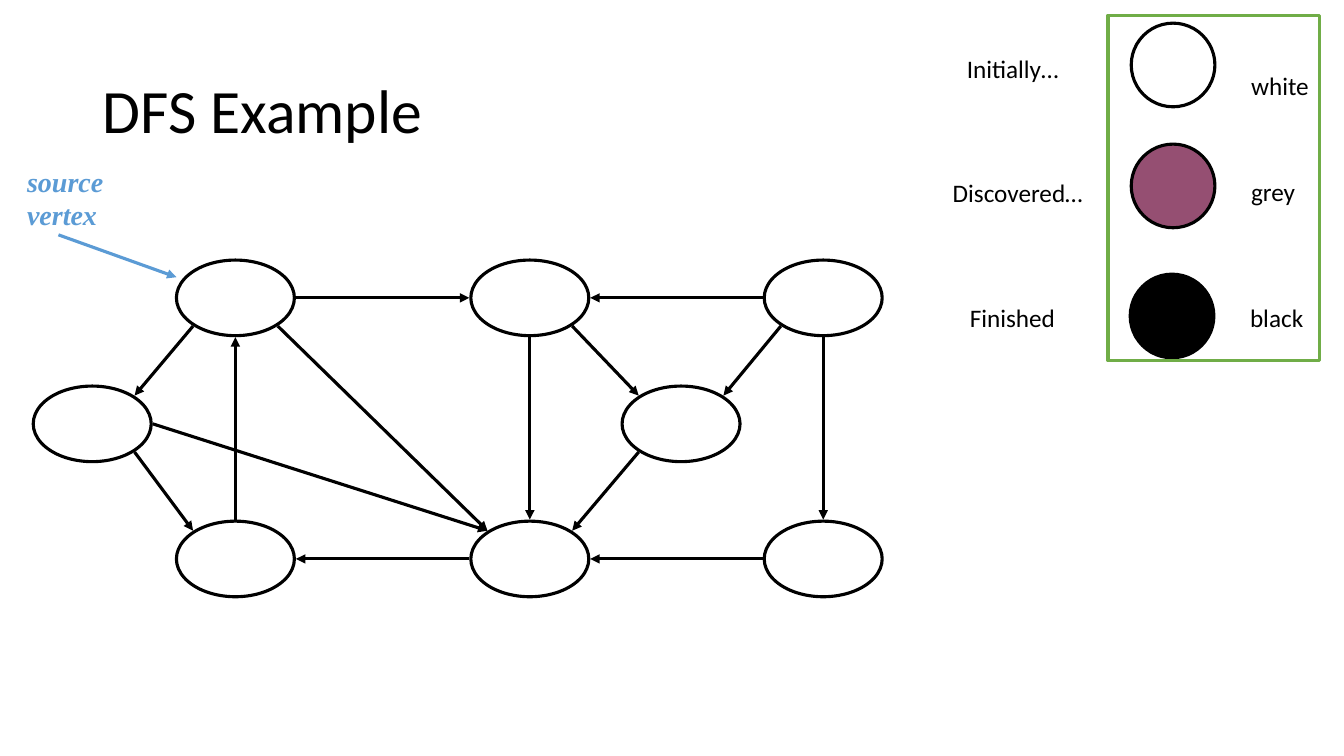
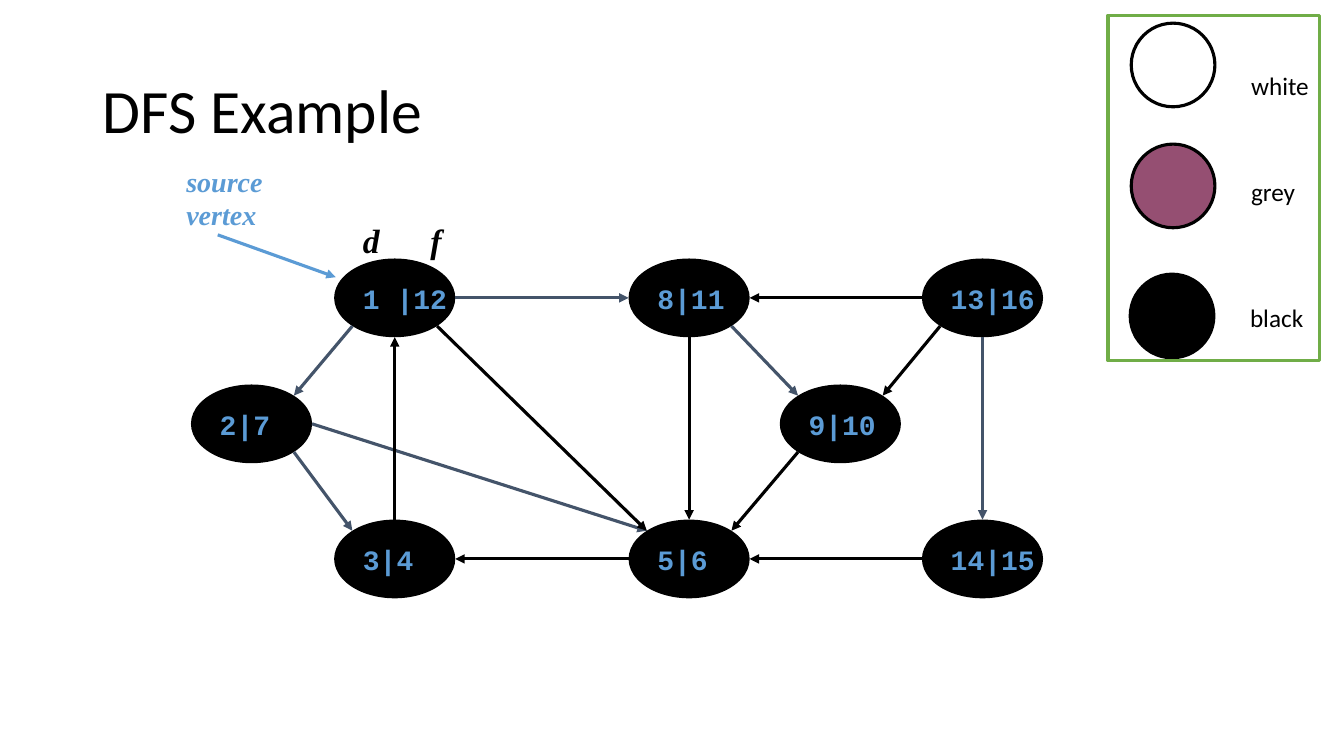
from lxml import etree
from pptx import Presentation
from pptx import util as u
from pptx.dml.color import RGBColor
from pptx.enum import shapes, text
from pptx.oxml.ns import qn

COLOURS = {
    "black": "000000",
    "discovered": "954F72",
    "tree_edge": "44546A",
    "accent": "5B9BD5",
    "frame": "70AD47",
}
LINE_WIDTH = u.Pt(2.25)

NODE_WIDTH, NODE_HEIGHT = 1.17, 0.75
ROW_TOPS = (2.58, 3.83, 5.17)
# vertex: (left relative to the source vertex, row)
VERTICES = {
    "source": (0, 0),
    "middle": (2.92, 0),
    "right": (5.83, 0),
    "low_right": (5.83, 2),
    "low_middle": (2.92, 2),
    "low_left": (0, 2),
    "outer_left": (-1.42, 1),
    "inner": (4.42, 1),
}
# side: offset from the centre of a vertex, just outside its outline
SIDES = {
    "n": (0, -0.39), "s": (0, 0.39), "w": (-0.6, 0), "e": (0.6, 0),
    "nw": (-0.42, -0.28), "ne": (0.42, -0.28),
    "sw": (-0.42, 0.28), "se": (0.42, 0.28),
}
# (from vertex, side, to vertex, side, whether it is a tree edge)
EDGES = [
    ("source", "sw", "outer_left", "ne", True),
    ("outer_left", "se", "low_left", "nw", True),
    ("outer_left", "e", "low_middle", "nw", True),
    ("low_middle", "w", "low_left", "e", False),
    ("low_left", "n", "source", "s", False),
    ("source", "se", "low_middle", "nw", False),
    ("middle", "s", "low_middle", "n", False),
    ("source", "e", "middle", "w", True),
    ("right", "w", "middle", "e", False),
    ("middle", "se", "inner", "nw", True),
    ("right", "sw", "inner", "ne", False),
    ("right", "s", "low_right", "n", True),
    ("low_right", "w", "low_middle", "e", False),
    ("inner", "sw", "low_middle", "ne", False),
]
TIMES = {
    "source": "1 |12", "middle": "8|11", "right": "13|16",
    "low_right": "14|15", "low_middle": "5|6", "low_left": "3|4",
    "outer_left": "2|7", "inner": "9|10",
}
# (circle left, circle top, fill, label left, label top, label width, label)
LEGEND = [
    (11.22, 0.23, None, 12.31, 0.65, 0.78, "white"),
    (11.22, 1.43, "discovered", 12.31, 1.7, 0.64, "grey"),
    (11.21, 2.72, "black", 12.3, 2.95, 0.73, "black"),
]
STATES = [
    (9.49, 0.48, 1.12, "Initially…"),
    (9.35, 1.71, 1.52, "Discovered…"),
    (9.52, 2.95, 1.06, "Finished"),
]


def colour(name):
    return RGBColor.from_string(COLOURS[name])


def add_run(paragraph, words, size, font="Calibri", ink="black", bold=False, italic=False):
    run = paragraph.add_run()
    run.text = words
    run.font.size = u.Pt(size)
    run.font.name = font
    run.font.bold = bold
    run.font.italic = italic
    run.font.color.rgb = colour(ink)


def add_outline(parent, preset, left, top, width, height, line="black", fill=None):
    """Add an outlined shape, hollow unless a fill is named."""
    shape = parent.add_shape(preset, *map(u.Inches, (left, top, width, height)))
    shape.shadow.inherit = False
    shape.line.color.rgb = colour(line)
    shape.line.width = LINE_WIDTH
    if fill:
        shape.fill.solid()
        shape.fill.fore_color.rgb = colour(fill)
    else:
        shape.fill.background()
    return shape


def add_label(parent, left, top, width, height, lines, size=18, **style):
    box = parent.add_textbox(*map(u.Inches, (left, top, width, height)))
    frame = box.text_frame
    frame.word_wrap = False
    frame.auto_size = text.MSO_AUTO_SIZE.SHAPE_TO_FIT_TEXT
    paragraph = frame.paragraphs[0]
    for number, line in enumerate(lines):
        if number:
            paragraph.add_line_break()
        add_run(paragraph, line, size, **style)


def add_arrow(slide, start, end, ink="black"):
    connector = slide.shapes.add_connector(
        shapes.MSO_CONNECTOR.STRAIGHT, *map(u.Inches, (*start, *end)))
    connector.line.color.rgb = colour(ink)
    connector.line.width = LINE_WIDTH
    etree.SubElement(connector.line._get_or_add_ln(), qn("a:tailEnd"), type="triangle")
    etree.SubElement(connector._element.spPr, qn("a:effectLst"))


def add_vertex(slide, left, top, times):
    """Add a vertex, black when it carries its discovery and finish times."""
    vertex = add_outline(slide.shapes, shapes.MSO_SHAPE.OVAL, left, top,
                         NODE_WIDTH, NODE_HEIGHT, fill="black" if times else None)
    if times:
        frame = vertex.text_frame
        frame.word_wrap = False
        frame.vertical_anchor = text.MSO_ANCHOR.MIDDLE
        paragraph = frame.paragraphs[0]
        paragraph.alignment = text.PP_ALIGN.LEFT
        add_run(paragraph, times, 20, "Courier New", "accent", bold=True)


def add_graph(slide, origin, times):
    """Draw the graph with its source vertex at the left position origin."""
    def point(name, side):
        offset, row = VERTICES[name]
        across, down = SIDES[side]
        return (origin + offset + NODE_WIDTH / 2 + across,
                ROW_TOPS[row] + NODE_HEIGHT / 2 + down)

    for name, (offset, row) in VERTICES.items():
        add_vertex(slide, origin + offset, ROW_TOPS[row], times.get(name))
    for tail, tail_side, head, head_side, is_tree_edge in EDGES:
        ink = "tree_edge" if times and is_tree_edge else "black"
        add_arrow(slide, point(tail, tail_side), point(head, head_side), ink)
    add_arrow(slide, (origin - 1.17, 2.33), (origin, 2.75), "accent")
    add_label(slide.shapes, origin - 1.58, 1.58, 0.96, 0.77, ["source", "vertex"], 20,
              font="Times New Roman", ink="accent", bold=True, italic=True)


def add_legend(slide):
    group = slide.shapes.add_group_shape().shapes
    for left, top, fill, label_left, label_top, label_width, label in LEGEND:
        add_outline(group, shapes.MSO_SHAPE.OVAL, left, top, 0.83, 0.83, fill=fill)
        add_label(group, label_left, label_top, label_width, 0.4, [label])
    add_outline(group, shapes.MSO_SHAPE.RECTANGLE, 10.99, 0.15, 2.1, 3.43, line="frame")


def add_title(slide, words):
    title = slide.shapes.title
    title.left, title.top, title.width, title.height = map(u.Inches, (0.92, 0.4, 11.5, 1.45))
    frame = title.text_frame
    frame.auto_size = text.MSO_AUTO_SIZE.NONE
    frame.vertical_anchor = text.MSO_ANCHOR.MIDDLE
    paragraph = frame.paragraphs[0]
    paragraph.alignment = text.PP_ALIGN.LEFT
    paragraph.line_spacing = 0.9
    add_run(paragraph, words, 44)


def add_example_slide(presentation, origin, times):
    slide = presentation.slides.add_slide(presentation.slide_layouts.get_by_name("Title Only"))
    add_title(slide, "DFS Example")
    add_graph(slide, origin, times)
    add_legend(slide)
    return slide


def main():
    presentation = Presentation()
    presentation.slide_width = u.Inches(13.33)
    presentation.slide_height = u.Inches(7.5)

    initial = add_example_slide(presentation, 1.75, {})
    for left, top, width, state in STATES:
        add_label(initial.shapes, left, top, width, 0.4, [state])

    finished = add_example_slide(presentation, 3.33, TIMES)
    for left, width, letter in ((3.5, 0.37, "d"), (4.17, 0.31, "f")):
        add_label(finished.shapes, left, 2.13, width, 0.5, [letter], 24,
                  font="Times New Roman", bold=True, italic=True)

    presentation.save("out.pptx")


if __name__ == "__main__":
    main()
